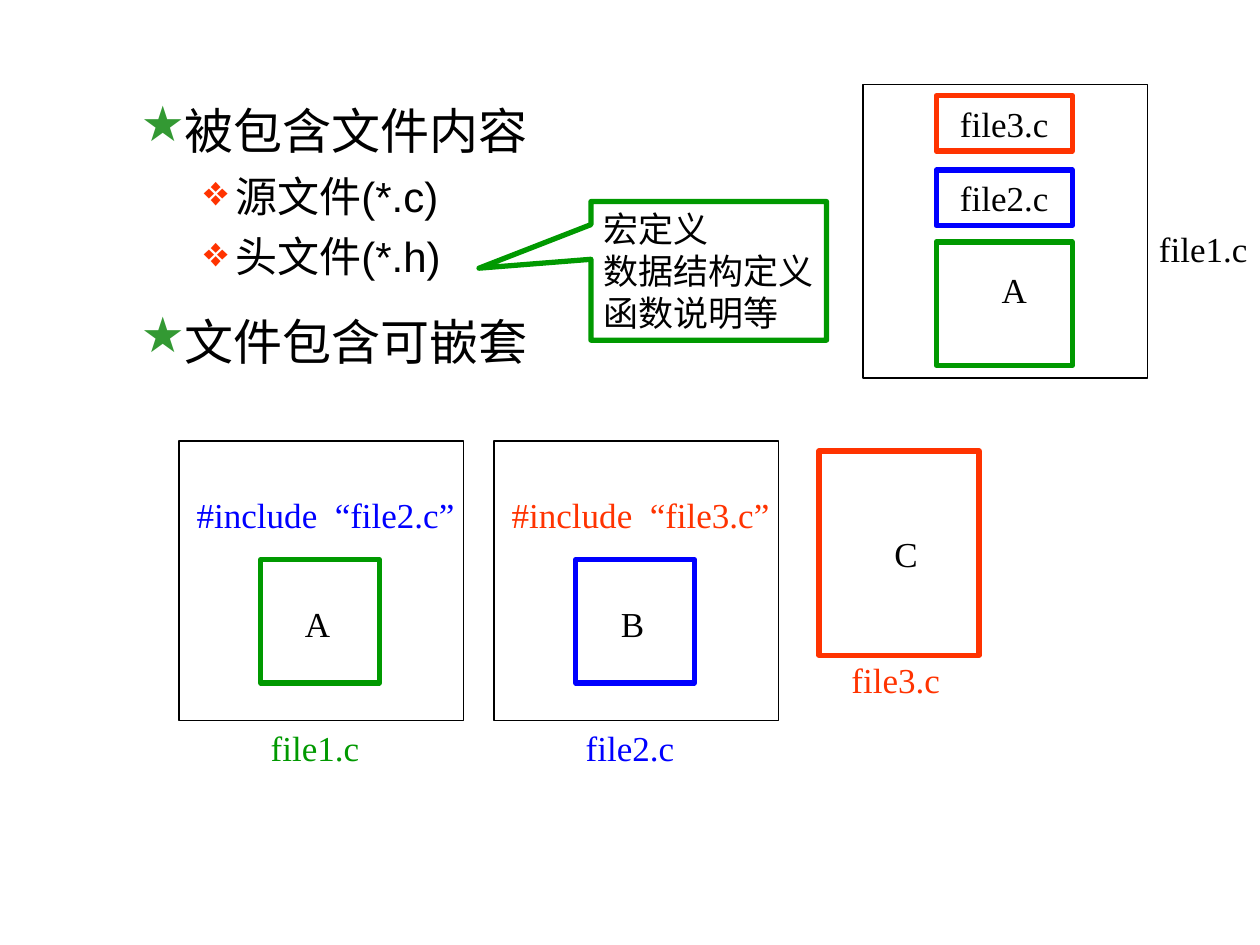
from lxml.etree import SubElement
from pptx import Presentation
from pptx.dml.color import RGBColor
from pptx.enum.shapes import MSO_SHAPE
from pptx.enum.text import MSO_ANCHOR, PP_ALIGN
from pptx.oxml.ns import qn
from pptx.util import Inches, Pt

BLACK = RGBColor(0, 0, 0)
WHITE = RGBColor(255, 255, 255)
GREEN = RGBColor(0, 0x99, 0)
BLUE = RGBColor(0, 0, 255)
RED = RGBColor(0xFF, 0x33, 0)
SERIF = "Times New Roman"
# Outline levels: bullet, colour, text size, indent, hanging, space before
LEVELS = [("★", "339933", 28, 0.81, 0.31, 7),
          ("❖", "FF3300", 24, 1.25, 0.25, 6)]


def place(box):
    return [Inches(n) for n in box]


def write(frame, lines, color=BLACK, align=PP_ALIGN.CENTER):
    frame.vertical_anchor = MSO_ANCHOR.MIDDLE
    frame.word_wrap = False
    frame.text = lines
    for para in frame.paragraphs:
        para.alignment = align
        para.font.size = Pt(20)
        para.font.name = SERIF
        para.font.color.rgb = color


def label(slide, text, box, color=BLACK):
    write(slide.shapes.add_textbox(*place(box)).text_frame, text, color)


def block(slide, box, color, weight=3, kind=MSO_SHAPE.RECTANGLE):
    shape = slide.shapes.add_shape(kind, *place(box))
    shape.shadow.inherit = False
    shape.fill.background()
    shape.line.color.rgb = color
    shape.line.width = Pt(weight)
    return shape


def outline(slide, box, items):
    frame = slide.shapes.add_textbox(*place(box)).text_frame
    frame.word_wrap = True
    for i, (level, text) in enumerate(items):
        mark, tint, size, indent, hang, gap = LEVELS[level]
        para = frame.add_paragraph() if i else frame.paragraphs[0]
        para.text = text
        para.level = level
        para.space_before = Pt(gap)
        para.font.size = Pt(size)
        para.font.name = "Arial"
        para.font.color.rgb = BLACK
        props = para._p.get_or_add_pPr()
        props.set("marL", str(Inches(indent)))
        props.set("indent", str(-Inches(hang)))
        color = SubElement(props, qn("a:buClr"))
        SubElement(color, qn("a:srgbClr"), val=tint)
        SubElement(props, qn("a:buChar"), char=mark)
        # Bullet marks must precede the run defaults
        defs = props.find(qn("a:defRPr"))
        if defs is not None:
            props.append(defs)


def callout(slide, box, lines):
    shape = block(slide, box, GREEN, kind=MSO_SHAPE.RECTANGULAR_CALLOUT)
    shape.fill.solid()
    shape.fill.fore_color.rgb = WHITE
    shape.adjustments[0] = -0.975
    shape.adjustments[1] = -0.019
    write(shape.text_frame, lines, align=PP_ALIGN.LEFT)


def source(slide, x, y, name, part, color, other, tint):
    """A file that includes another one."""
    block(slide, (x, y, 2.26, 2.22), BLACK, 0.74)
    block(slide, (x + 0.65, y + 0.94, 0.94, 0.98), color)
    label(slide, f"#include  “{other}”", (x + 0.04, y + 0.36, 2.25, 0.44), tint)
    label(slide, name, (x + 0.63, y + 2.21, 0.9, 0.44), color)
    label(slide, part, (x + 0.9, y + 1.23, 0.4, 0.44))


def leaf(slide, x, y):
    """The file that includes nothing."""
    block(slide, (x, y, 1.27, 1.62), RED)
    label(slide, "C", (x + 0.5, y + 0.59, 0.38, 0.44))
    label(slide, "file3.c", (x + 0.16, y + 1.59, 0.9, 0.44), RED)


def result(slide, x, y):
    """The first file with its includes expanded."""
    block(slide, (x, y, 2.26, 2.33), BLACK, 0.74)
    for i, (name, color) in enumerate([("file3.c", RED), ("file2.c", BLUE)]):
        part = block(slide, (x + 0.58, y + 0.09 + 0.59 * i, 1.08, 0.44), color)
        write(part.text_frame, name)
    block(slide, (x + 0.58, y + 1.25, 1.08, 0.98), GREEN)
    label(slide, "A", (x + 1, y + 1.41, 0.4, 0.44))
    label(slide, "file1.c", (x + 2.25, y + 1.08, 0.9, 0.44))


deck = Presentation()
deck.slide_width, deck.slide_height = Inches(10), Inches(7.5)
slide = deck.slides.add_slide(deck.slide_layouts[6])

# Points and callout
outline(slide, (0.52, 0.75, 9.48, 1.52),
        [(0, "被包含文件内容"), (1, "源文件(*.c)"), (1, "头文件(*.h)")])
callout(slide, (4.69, 1.6, 1.87, 1.1), "宏定义\n数据结构定义\n函数说明等")
outline(slide, (0.52, 2.42, 9.48, 0.58), [(0, "文件包含可嵌套")])

# Files before and after inclusion
source(slide, 1.42, 3.5, "file1.c", "A", GREEN, "file2.c", BLUE)
source(slide, 3.92, 3.5, "file2.c", "B", BLUE, "file3.c", RED)
leaf(slide, 6.5, 3.58)
result(slide, 6.85, 0.67)

deck.save("out.pptx")
